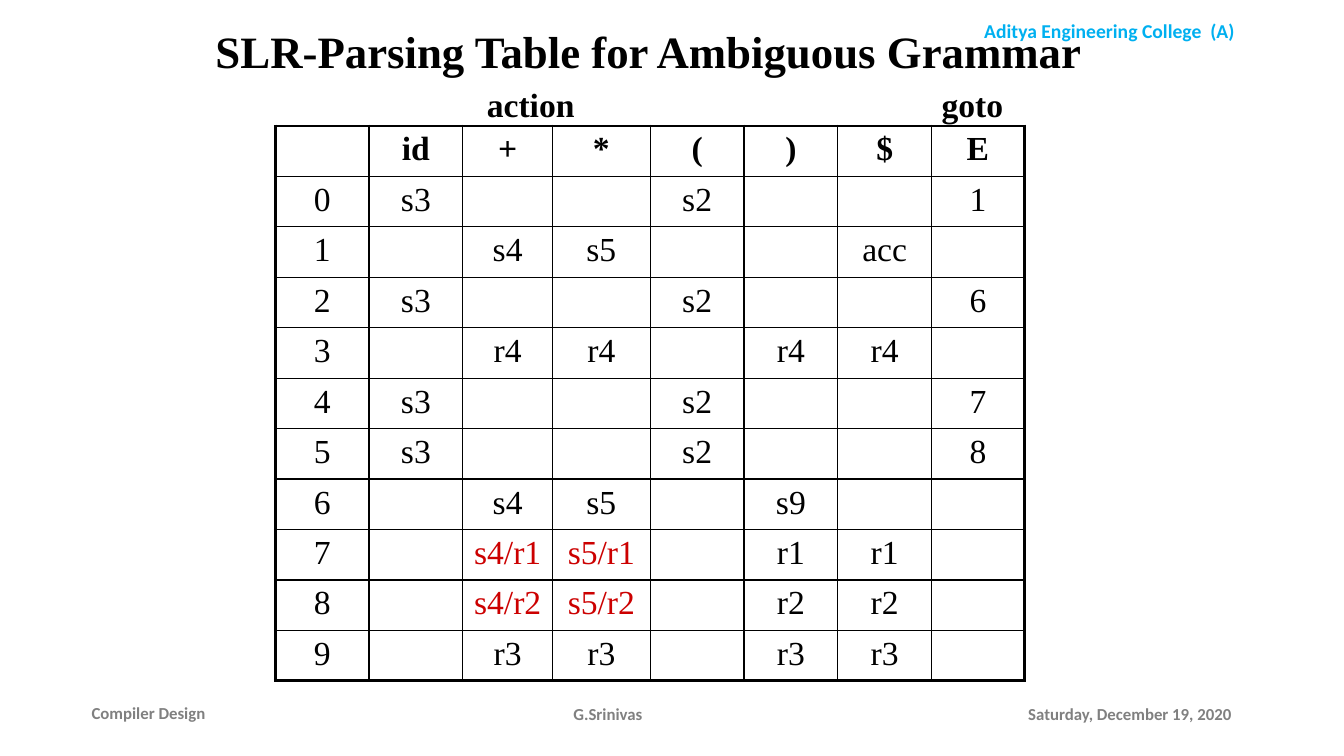
from lxml import etree
from pptx import Presentation
from pptx.dml.color import RGBColor
from pptx.enum.text import MSO_ANCHOR, PP_ALIGN
from pptx.oxml.ns import qn
from pptx.util import Inches, Pt

LEFT, CENTER, JUSTIFY = PP_ALIGN.LEFT, PP_ALIGN.CENTER, PP_ALIGN.JUSTIFY
TOP, MIDDLE = MSO_ANCHOR.TOP, MSO_ANCHOR.MIDDLE

BLACK, RED, GRAY, SKY = "000000", "CC0000", "808080", "00B0F0"
SERIF, SANS = "Times New Roman", "Calibri"
TITLE = {"name": SERIF, "size": Pt(32), "bold": True}
HEADING = {"name": SERIF, "size": Pt(24), "bold": True}
ENTRY = {"name": SERIF, "size": Pt(24), "bold": False}
COLLEGE = {"name": SANS, "size": Pt(14), "bold": True}
FOOTER = {"name": SANS, "size": Pt(12), "bold": True}

THIN, THICK = 1, 2.25
COLUMN_WIDTHS = [0.93, 0.93, 0.89, 0.97, 0.93, 0.93, 0.93, 0.92]
ROW_HEIGHT = 0.5
SYMBOLS = ["", "id", "+", "*", "(", ")", "$", "E"]
STATES = [
    ["s3", "", "", "s2", "", "", "1"],
    ["", "s4", "s5", "", "", "acc", ""],
    ["s3", "", "", "s2", "", "", "6"],
    ["", "r4", "r4", "", "r4", "r4", ""],
    ["s3", "", "", "s2", "", "", "7"],
    ["s3", "", "", "s2", "", "", "8"],
    ["", "s4", "s5", "", "s9", "", ""],
    ["", "s4/r1", "s5/r1", "", "r1", "r1", ""],
    ["", "s4/r2", "s5/r2", "", "r2", "r2", ""],
    ["", "r3", "r3", "", "r3", "r3", ""],
]


def rgb(color):
    return RGBColor.from_string(color)


def write(frame, text, style, color, align):
    paragraph = frame.paragraphs[0]
    paragraph.alignment = align
    run = paragraph.add_run()
    run.text = text
    for attribute, value in style.items():
        setattr(run.font, attribute, value)
    run.font.color.rgb = rgb(color)


def add_label(slide, box, text, style, color=BLACK, align=LEFT, anchor=TOP, wrap=True):
    frame = slide.shapes.add_textbox(*map(Inches, box)).text_frame
    frame.word_wrap = wrap
    frame.vertical_anchor = anchor
    write(frame, text, style, color, align)


def set_borders(cell, widths):
    """Draw the left, right, top and bottom borders, in that order."""
    properties = cell._tc.get_or_add_tcPr()
    for position, (side, width) in enumerate(zip("LRTB", widths)):
        line = etree.Element(qn(f"a:ln{side}"), w=str(Pt(width)))
        fill = etree.SubElement(line, qn("a:solidFill"))
        etree.SubElement(fill, qn("a:srgbClr"), val=BLACK)
        properties.insert(position, line)


def add_header(slide, left, top):
    add_label(slide, (left + 7.78, top + 0.14, 3.83, 0.34),
              "Aditya Engineering College  (A)", COLLEGE, SKY, CENTER)
    add_label(slide, (left, top, 10.25, 1),
              "SLR-Parsing Table for Ambiguous Grammar", TITLE, align=CENTER, anchor=MIDDLE)


def add_parsing_table(slide, left, top):
    entries = [SYMBOLS] + [[str(state), *moves] for state, moves in enumerate(STATES)]
    last_row, last_column = len(entries) - 1, len(SYMBOLS) - 1
    table = slide.shapes.add_table(
        len(entries), len(SYMBOLS), Inches(left), Inches(top),
        Inches(sum(COLUMN_WIDTHS)), Inches(ROW_HEIGHT * len(entries))).table
    for column, width in zip(table.columns, COLUMN_WIDTHS):
        column.width = Inches(width)

    for r, row in enumerate(entries):
        table.rows[r].height = Inches(ROW_HEIGHT)
        for c, entry in enumerate(row):
            cell = table.cell(r, c)
            cell.fill.background()
            outer_sides = (c == 0, c == last_column, r == 0, r == last_row)
            set_borders(cell, [THICK if outer else THIN for outer in outer_sides])
            if entry:
                is_conflict = "/" in entry
                write(cell.text_frame, entry, ENTRY if r else HEADING,
                      RED if is_conflict else BLACK, CENTER)

    add_label(slide, (left + 2, top - 0.47, 1.08, 0.5), "action", HEADING, wrap=False)
    add_label(slide, (left + 6.51, top - 0.47, 0.82, 0.5), "goto", HEADING, wrap=False)


def add_footer(slide, left, top):
    for offset, drop, width, text, align in [
        (0, 0, 2.11, "Compiler Design", JUSTIFY),
        (3.72, 0.01, 3, "G.Srinivas", CENTER),
        (9.29, 0.01, 2.3, "Saturday, December 19, 2020", LEFT),
    ]:
        add_label(slide, (left + offset, top + drop, width, 0.4),
                  text, FOOTER, GRAY, align, MIDDLE)


def main():
    deck = Presentation()
    deck.slide_width, deck.slide_height = Inches(13.33), Inches(7.5)
    slide = deck.slides.add_slide(deck.slide_layouts[6])
    add_header(slide, 1.31, 0)
    add_parsing_table(slide, 2.73, 1.25)
    add_footer(slide, 0.81, 6.87)
    deck.save("out.pptx")


if __name__ == "__main__":
    main()
